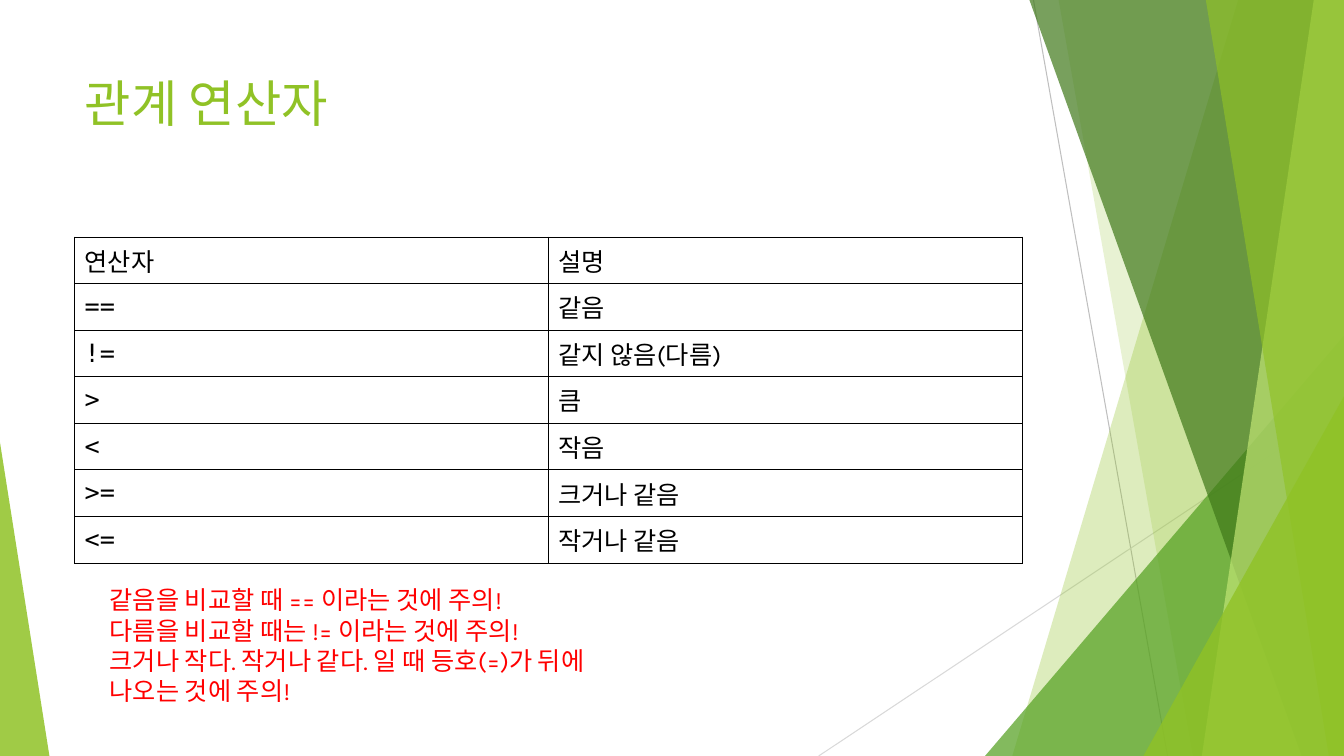
from lxml.etree import SubElement
from pptx import Presentation
from pptx.dml.color import RGBColor
from pptx.enum.shapes import MSO_CONNECTOR, MSO_SHAPE
from pptx.enum.text import MSO_ANCHOR, MSO_AUTO_SIZE, PP_ALIGN
from pptx.oxml.ns import qn
from pptx.util import Inches, Pt

# Content
TITLE = "관계 연산자"
OPERATORS = [
    ("연산자", "설명"),
    ("==", "같음"),
    ("!=", "같지 않음(다름)"),
    (">", "큼"),
    ("<", "작음"),
    (">=", "크거나 같음"),
    ("<=", "작거나 같음"),
]
CAUTIONS = [
    "같음을 비교할 때 == 이라는 것에 주의!",
    "다름을 비교할 때는 != 이라는 것에 주의!",
    "크거나 작다. 작거나 같다. 일 때 등호(=)가 뒤에 나오는 것에 주의!",
]

# Format
BODY_FONT, CODE_FONT = "Karla", "DejaVu Sans Mono"
LIME = RGBColor(0x90, 0xC2, 0x26)
GREEN = RGBColor(0x54, 0xA0, 0x21)
FOREST = RGBColor(0x3F, 0x78, 0x19)
PALE = RGBColor(0xC0, 0xE4, 0x74)
GRAY = RGBColor(0xBF, 0xBF, 0xBF)
LIGHT_GRAY = RGBColor(0xD9, 0xD9, 0xD9)
BLACK = RGBColor(0, 0, 0)
WHITE = RGBColor(0xFF, 0xFF, 0xFF)
RED = RGBColor(0xFF, 0, 0)

# Layout in inches
WIDTH, HEIGHT = 13.33, 7.5
LEFT, CONTENT_WIDTH = 0.74, 9.4
TABLE_TOP, ROW_HEIGHT = 2.35, 0.46

# Decoration: hairlines as start, end, colour
HAIRLINES = [
    ((10.25, 0), (11.58, HEIGHT), GRAY),
    ((WIDTH, 4.03), (8.12, HEIGHT), LIGHT_GRAY),
]
# Facets reach the right edge: top-left x, bottom-left x, colour, opacity %.
# Corners stand on the bottom edge: left, width, height, apex, colour, opacity %.
FACETS = [
    (12.28, 10.04, LIME, 30),
    (10.5, 11.83, LIME, 20),
    (9.77, 3.56, 4.17, 1, GREEN, 72),
    (10.21, 12.91, FOREST, 70),
    (13.03, 11.92, PALE, 70),
    (11.96, 13.18, LIME, 65),
    (11.34, 1.99, 3.57, 1, LIME, 80),
    (0, 0.49, 3.11, 0, LIME, 85),
]


def box(*lengths):
    return [Inches(length) for length in lengths]


def style(paragraph, **formats):
    paragraph.alignment = PP_ALIGN.LEFT
    color = formats.pop("color")
    for run in paragraph.runs:
        for key, value in formats.items():
            setattr(run.font, key, value)
        run.font.color.rgb = color


def add_hairline(shapes, start, end, color):
    line = shapes.add_connector(MSO_CONNECTOR.STRAIGHT, *box(*start, *end))
    line.line.color.rgb = color
    line.line.width = Pt(0.75)
    SubElement(line._element.spPr, qn("a:effectLst"))


def add_facet(shapes, *outline, color, opacity):
    if len(outline) == 2:
        top_x, bottom_x = outline
        corners = [(WIDTH, 0), (WIDTH, HEIGHT), (bottom_x, HEIGHT)]
        builder = shapes.build_freeform(*box(top_x, 0))
        builder.add_line_segments([box(*corner) for corner in corners])
        facet = builder.convert_to_shape()
    else:
        left, width, height, apex = outline
        facet = shapes.add_shape(MSO_SHAPE.ISOSCELES_TRIANGLE,
                                 *box(left, HEIGHT - height, width, height))
        facet.adjustments[0] = apex
    facet.shadow.inherit = False
    facet.line.fill.background()
    facet.fill.solid()
    facet.fill.fore_color.rgb = color
    rgb = facet._element.spPr.find(f"{qn('a:solidFill')}/{qn('a:srgbClr')}")
    SubElement(rgb, qn("a:alpha"), val=str(opacity * 1000))


def border_cell(cell):
    props = cell._tc.get_or_add_tcPr()
    for position, side in enumerate(("lnL", "lnR", "lnT", "lnB")):
        border = SubElement(props, qn(f"a:{side}"), w=str(Pt(0.6)))
        fill = SubElement(border, qn("a:solidFill"))
        SubElement(fill, qn("a:srgbClr"), val=str(BLACK))
        props.insert(position, border)


def add_operators(shapes):
    rows, columns = len(OPERATORS), len(OPERATORS[0])
    table = shapes.add_table(rows, columns, *box(
        LEFT, TABLE_TOP, CONTENT_WIDTH, rows * ROW_HEIGHT)).table
    table.first_row = table.horz_banding = False
    for r, texts in enumerate(OPERATORS):
        table.rows[r].height = Inches(ROW_HEIGHT)
        for c, text in enumerate(texts):
            cell = table.cell(r, c)
            cell.text = text
            cell.vertical_anchor = MSO_ANCHOR.MIDDLE
            cell.fill.solid()
            cell.fill.fore_color.rgb = WHITE
            border_cell(cell)
            font = CODE_FONT if r and c == 0 else BODY_FONT
            style(cell.text_frame.paragraphs[0], name=font, size=Pt(18), color=BLACK)


def main():
    deck = Presentation()
    deck.slide_width, deck.slide_height = box(WIDTH, HEIGHT)
    slide = deck.slides.add_slide(deck.slide_layouts[5])
    shapes = slide.shapes

    # Background decoration
    for hairline in HAIRLINES:
        add_hairline(shapes, *hairline)
    for *outline, color, opacity in FACETS:
        add_facet(shapes, *outline, color=color, opacity=opacity)

    # Title
    title = shapes.title
    title.left, title.top, title.width, title.height = box(LEFT, 0.67, CONTENT_WIDTH, 1.44)
    title.text_frame.text = TITLE
    title.text_frame.vertical_anchor = MSO_ANCHOR.TOP
    style(title.text_frame.paragraphs[0], name=BODY_FONT, size=Pt(36), color=LIME)

    # Operator table
    add_operators(shapes)

    # Cautions
    cautions = shapes.add_textbox(*box(0.99, 5.75, 5.17, 1.31)).text_frame
    cautions.word_wrap = True
    cautions.auto_size = MSO_AUTO_SIZE.SHAPE_TO_FIT_TEXT
    cautions.text = "\n".join(CAUTIONS)
    for caution in cautions.paragraphs:
        style(caution, name=BODY_FONT, size=Pt(18), color=RED)

    deck.save("out.pptx")


if __name__ == "__main__":
    main()
